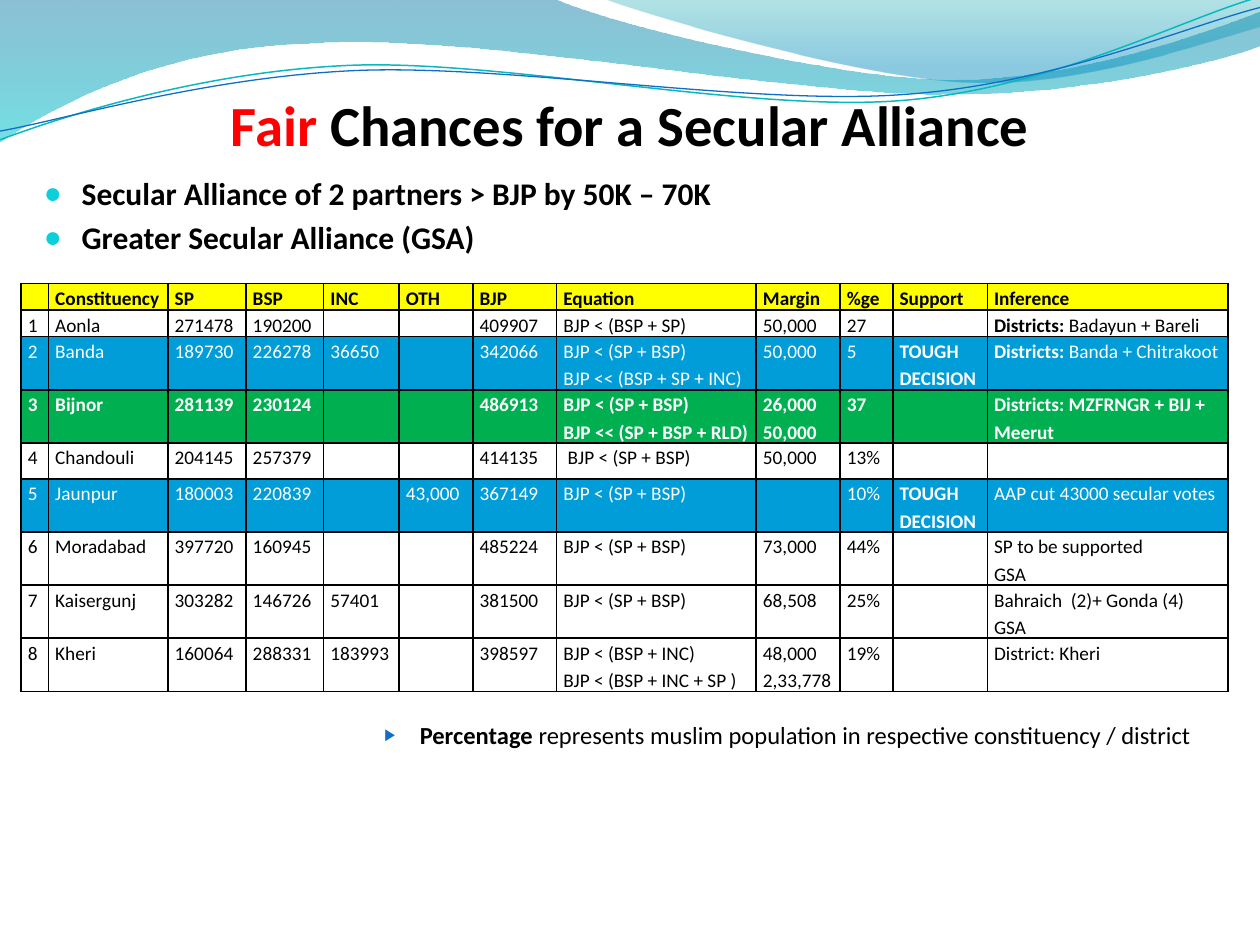
import math

import lxml.etree
import pptx
import pptx.dml.color
import pptx.enum.text
import pptx.oxml
import pptx.oxml.ns
import pptx.util

Pt = pptx.util.Pt
qn = pptx.oxml.ns.qn
ANCHOR = pptx.enum.text.MSO_ANCHOR

BLACK, WHITE, RED = "000000", "FFFFFF", "FF0000"
YELLOW, BLUE, GREEN = "FFFF00", "009DD9", "00B050"


def rgb(code):
    """Turn a hex string into a colour."""
    return pptx.dml.color.RGBColor.from_string(code)


def sub(parent, tag, **attributes):
    """Append a DrawingML child element."""
    return lxml.etree.SubElement(parent, qn(tag), attributes)


def turned(numbers, degrees, center=(360, 42)):
    """Turn a flat x, y, x, y list clockwise around a centre."""
    cos, sin = math.cos(math.radians(degrees)), math.sin(math.radians(degrees))
    result = []
    for x, y in zip(numbers[::2], numbers[1::2]):
        dx, dy = x - center[0], y - center[1]
        result += [center[0] + dx * cos - dy * sin, center[1] + dx * sin + dy * cos]
    return result


class Deck:
    """Holds the style and the current slide."""

    font = "Calibri"

    def __init__(self, width, height):
        """Start a deck with one title-only slide."""
        self.presentation = pptx.Presentation()
        self.presentation.slide_width = Pt(width)
        self.presentation.slide_height = Pt(height)
        self.slide = self.presentation.slides.add_slide(
            self.presentation.slide_layouts[5])

    def runs(self, paragraph, pieces, size):
        """Add (text, colour, bold) runs; a vertical tab breaks the line."""
        for text, color, bold in pieces:
            for index, line in enumerate(text.split("\v")):
                if index:
                    paragraph.add_line_break()
                run = paragraph.add_run()
                run.text = line
                run.font.name = self.font
                run.font.size = Pt(size)
                run.font.bold = bold
                run.font.color.rgb = rgb(color)

    def title(self, box, pieces, size):
        """Place and fill the title placeholder."""
        title = self.slide.shapes.title
        title.left, title.top, title.width, title.height = map(Pt, box)
        frame = title.text_frame
        frame.auto_size = pptx.enum.text.MSO_AUTO_SIZE.NONE
        frame.vertical_anchor = ANCHOR.BOTTOM
        frame.margin_left = frame.margin_right = frame.margin_bottom = 0
        frame.paragraphs[0].alignment = pptx.enum.text.PP_ALIGN.CENTER
        self.runs(frame.paragraphs[0], pieces, size)

    def bullets(self, box, items, size, mark, indent, before, level=0):
        """Add a text box of bulleted paragraphs; mark is (char, colour, percent)."""
        frame = self.slide.shapes.add_textbox(*map(Pt, box)).text_frame
        frame.word_wrap = True
        char, color, percent = mark
        for index, pieces in enumerate(items):
            paragraph = frame.add_paragraph() if index else frame.paragraphs[0]
            paragraph.level = level
            paragraph.space_before = Pt(before)
            props = paragraph._p.get_or_add_pPr()
            props.set("marL", str(Pt(indent[0])))
            props.set("indent", str(Pt(indent[1])))
            sub(sub(props, "a:buClr"), "a:srgbClr", val=color)
            sub(props, "a:buSzPct", val=str(percent * 1000))
            sub(props, "a:buFont", typeface="Arial")
            sub(props, "a:buChar", char=char)
            self.runs(paragraph, pieces, size)

    def outline(self, start, segments, closed):
        """Build a freeform from line (2 numbers) and curve (6 numbers) segments."""
        builder = self.slide.shapes.build_freeform(*map(Pt, start))
        builder.add_line_segments([tuple(map(Pt, s[-2:])) for s in segments], close=closed)
        shape = builder.convert_to_shape()
        shape.shadow.inherit = False
        sides = list(shape._element.iter(qn("a:lnTo")))
        for side, numbers in zip(sides, segments):
            if len(numbers) == 6:
                curve = sub(side.getparent(), "a:cubicBezTo")
                side.getparent().replace(side, curve)
                for x, y in zip(numbers[::2], numbers[1::2]):
                    sub(curve, "a:pt", x=str(Pt(x) - shape.left), y=str(Pt(y) - shape.top))
        return shape

    def wave(self, start, segments, stops):
        """Add a closed wave with a vertical gradient of (position, colour, opacity)."""
        shape = self.outline(start, segments, True)
        shape.line.fill.background()
        shape.fill.gradient()
        shape.fill.gradient_angle = 270
        for stop, (position, color, opacity) in zip(shape.fill.gradient_stops, stops):
            stop.position = position
            stop.color.rgb = rgb(color)
        for element, (_, _, opacity) in zip(shape._element.iter(qn("a:srgbClr")), stops):
            sub(element, "a:alpha", val=str(opacity * 1000))

    def ripple(self, start, segments, color, width, tilt=-2.7):
        """Add an open curved line in a tilted frame."""
        shape = self.outline(turned(start, -tilt),
                             [turned(s, -tilt) for s in segments], False)
        shape.rotation = tilt
        shape.fill.background()
        shape.line.color.rgb = rgb(color)
        shape.line.width = Pt(width)

    def cell(self, cell, text, size, color, bold, fill, anchor):
        """Fill one table cell; ** switches to bold and back."""
        cell.margin_left = cell.margin_right = Pt(3.9)
        cell.margin_top = cell.margin_bottom = 0
        cell.vertical_anchor = anchor
        props = cell._tc.get_or_add_tcPr()
        for side in ("a:lnL", "a:lnR", "a:lnT", "a:lnB"):
            border = sub(props, side, w=str(Pt(1)))
            sub(sub(border, "a:solidFill"), "a:srgbClr", val=BLACK)
        if fill:
            cell.fill.solid()
            cell.fill.fore_color.rgb = rgb(fill)
        else:
            cell.fill.background()
        for index, line in enumerate(text.split("\n")):
            frame = cell.text_frame
            paragraph = frame.add_paragraph() if index else frame.paragraphs[0]
            paragraph.line_spacing = 1.15
            pieces = [(part, color, bold or odd % 2 == 1)
                      for odd, part in enumerate(line.split("**")) if part]
            self.runs(paragraph, pieces, size)
            if not pieces:
                sub(paragraph._p, "a:endParaRPr", sz=str(size * 100))

    def table(self, box, widths, heights, rows, size):
        """Add a table of (fill, colour, bold, texts) rows."""
        holder = self.slide.shapes.add_table(len(rows), len(widths), *map(Pt, box))
        grid = holder.table
        grid.first_row = grid.horz_banding = False
        for column, width in zip(grid.columns, widths):
            column.width = Pt(width)
        for r, (fill, color, bold, texts) in enumerate(rows):
            grid.rows[r].height = Pt(heights[r])
            for c, text in enumerate(texts):
                self.cell(grid.cell(r, c), text, size, color, bold, fill,
                          ANCHOR.TOP if r else ANCHOR.BOTTOM)
        holder.width, holder.height = Pt(box[2]), Pt(box[3])


PLAIN, TOUGH = (None, BLACK, False), (BLUE, WHITE, False)
PAIR = "BJP < (SP + BSP)"
DECISION = "**TOUGH DECISION**"
CONSTITUENCIES = [
    (YELLOW, BLACK, True, ("", "Constituency", "SP", "BSP", "INC", "OTH", "BJP",
                           "Equation", "Margin", "%ge", "Support", "Inference")),
    (*PLAIN, ("1", "Aonla", "271478", "190200", "", "", "409907", "BJP < (BSP + SP)",
              "50,000", "27", "", "**Districts: **Badayun + Bareli")),
    (*TOUGH, ("2", "Banda", "189730", "226278", "36650", "", "342066",
              PAIR + " \vBJP << (BSP + SP + INC)", "50,000", "5", DECISION,
              "**Districts: **Banda + Chitrakoot")),
    (GREEN, WHITE, True, ("3", "Bijnor", "281139", "230124", "", "", "486913",
                          PAIR + "\vBJP << (SP + BSP + RLD)", "26,000\n50,000", "37",
                          "", "Districts: MZFRNGR + BIJ + Meerut")),
    (*PLAIN, ("4", "Chandouli", "204145", "257379", "", "", "414135",
              "\u00a0" + PAIR, "50,000", "13%", "", "")),
    (*TOUGH, ("5", "Jaunpur", "180003", "220839", "", "43,000", "367149", PAIR,
              "", "10%", DECISION, "AAP cut 43000 secular votes")),
    (*PLAIN, ("6", "Moradabad", "397720", "160945", "", "", "485224", PAIR,
              "73,000", "44%", "", "SP to be supported\nGSA ")),
    (*PLAIN, ("7", "Kaisergunj", "303282", "146726", "57401", "", "381500", PAIR,
              "68,508", "25%", "", "Bahraich  (2)+ Gonda (4) \nGSA")),
    (*PLAIN, ("8", "Kheri", "160064", "288331", "183993", "", "398597",
              "BJP < (BSP + INC)\nBJP < (BSP + INC + SP )", "48,000\n2,33,778", "19%",
              "", "District: Kheri")),
]

deck = Deck(720, 540)
deck.wave((0, 0), [(316.8, -0.7), (342.7, 12.2, 478, 45.4, 545.8, 45.4),
                   (614.2, 45.4, 689.8, 18.7, 720, 6.5), (720.7, 25.9),
                   (707.8, 31.7, 626.4, 54.7, 537.1, 54),
                   (447.8, 54, 275, 20.2, 185, 24.5),
                   (92.9, 25.9, 33.1, 59.8, -0.7, 81.4)],
          [(0, "0074A1", 45), (1, "00C6CF", 55)])
deck.wave((344.9, -0.7), [(366.5, 7.9, 491, 44.6, 553.7, 46.8),
                          (616.3, 49.7, 691.9, 23, 720, 15.1), (720, 0)],
          [(0, "00A1A9", 30), (0.8, "008BBF", 45)])
deck.ripple((0, 79.9), [(34.6, 67, 113.8, 41, 199.4, 37.4),
                        (284.4, 33.8, 427, 64.1, 513.4, 57.6),
                        (599.8, 51.1, 675.4, 10.8, 718.6, -1.4)], "0AB8BF", 0.85)
deck.ripple((0, 74.9), [(33.8, 69.1, 118.1, 43.9, 203.8, 40.3),
                        (290.2, 36.7, 430.6, 60.5, 516.2, 54),
                        (601.9, 48.2, 677.5, 15.1, 720, 4.3)], "0F6FC6", 0.75)
deck.title((36, 52, 648, 38), [("Fair ", RED, True),
                               ("Chances for a Secular Alliance", BLACK, True)], 32.4)
deck.bullets((18, 96, 648, 60),
             [[("Secular Alliance of 2 partners > BJP by 50K \u2013 70K", BLACK, True)],
              [("Greater Secular Alliance (GSA)", BLACK, True)]],
             18, ("\u25cf", "0BD0D9", 95), (21.6, -21.6), 3.6)
deck.table((12, 162, 690, 233.3),
           [15.7, 68.3, 44.6, 44.4, 43.1, 42.2, 47.8, 114.1, 48, 30.1, 54, 137.7],
           [10.8, 10.2, 20.2, 29.5, 20.5, 20.2] + [21.6] * 3, CONSTITUENCIES, 11)
deck.bullets((204, 408, 498, 66),
             [[("Percentage ", BLACK, True),
               ("represents muslim population in respective constituency / district",
                BLACK, False)]],
             14, ("\u25b6", "0F6FC6", 68), (28.8, -20.2), 4, level=1)
deck.presentation.save("out.pptx")
